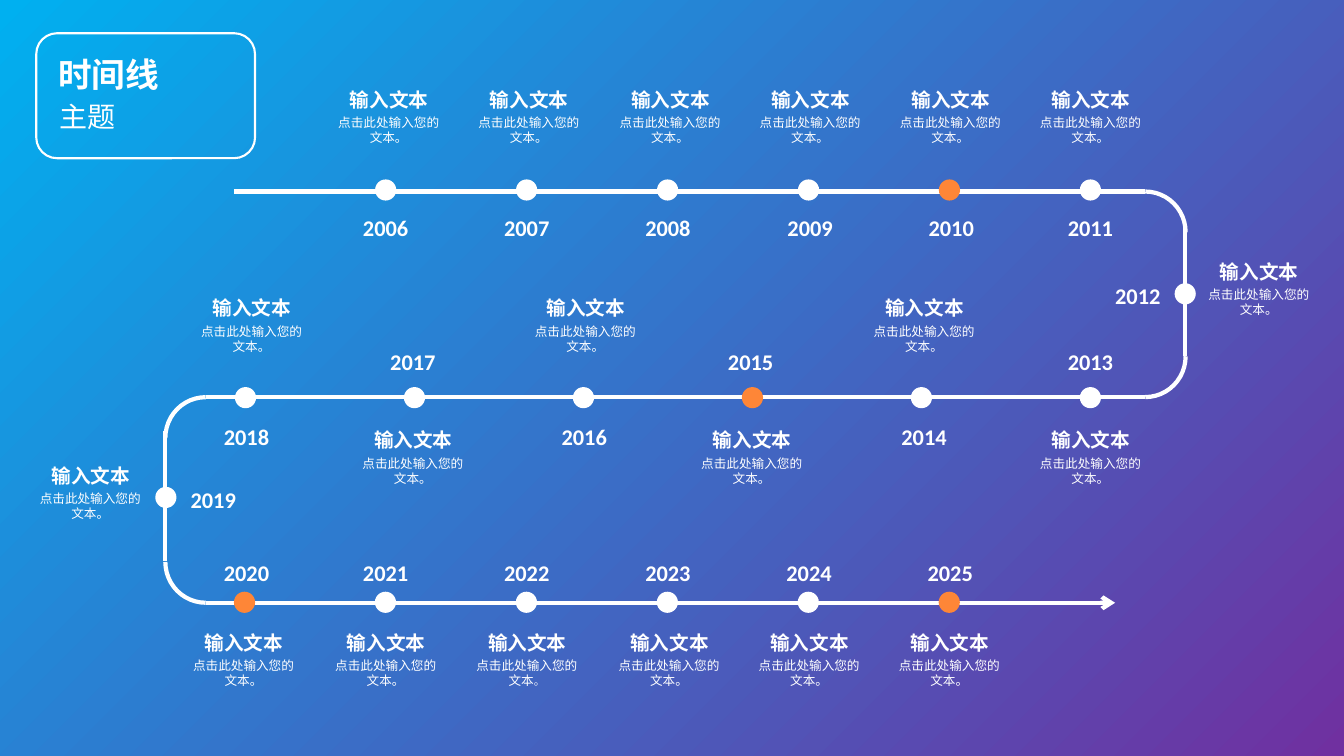
from lxml import etree
from pptx import Presentation
from pptx.dml.color import RGBColor
from pptx.enum.shapes import MSO_CONNECTOR, MSO_SHAPE
from pptx.enum.text import MSO_AUTO_SIZE, PP_ALIGN
from pptx.oxml.ns import qn
from pptx.util import Pt

STRAIGHT = MSO_CONNECTOR.STRAIGHT
DOT, ARC, FRAME = MSO_SHAPE.FLOWCHART_CONNECTOR, MSO_SHAPE.ARC, MSO_SHAPE.ROUNDED_RECTANGLE
CENTER, LEFT = PP_ALIGN.CENTER, PP_ALIGN.LEFT
FIT = MSO_AUTO_SIZE.SHAPE_TO_FIT_TEXT

COLORS = {"white": "FFFFFF", "accent": "FE8637", "sky": "00B0F0", "violet": "7030A0"}
HEAD_FONT, BODY_FONT = "Calibri", "Times New Roman"
TITLE, SUBTITLE = "时间线", "主题"
HEADING, BODY, STOP = "输入文本", "点击此处输入您的文本", "。"
MILESTONES = {2010, 2015, 2020, 2025}
SMALL_STOP_YEAR = 2022

ROWS = [
    {"first_dot": 372, "last_dot": 1071, "dot_top": 178,
     "years": [2006, 2007, 2008, 2009, 2010, 2011],
     "year_lefts": [346, 486, 626, 767, 907, 1045], "year_tops": [208],
     "caption_lefts": [322, 461, 601, 740, 879, 1018], "caption_tops": [82]},
    {"first_dot": 233, "last_dot": 1071, "dot_top": 384,
     "years": [2018, 2017, 2016, 2015, 2014, 2013],
     "year_lefts": [208, 373, 543, 708, 880, 1045], "year_tops": [415, 340],
     "caption_lefts": [186, 346, 517, 682, 853, 1018], "caption_tops": [289, 420]},
    {"first_dot": 232, "last_dot": 931, "dot_top": 587,
     "years": [2020, 2021, 2022, 2023, 2024, 2025],
     "year_lefts": [208, 346, 486, 626, 766, 906], "year_tops": [550],
     "caption_lefts": [178, 319, 459, 600, 739, 878], "caption_tops": [621]},
    {"first_dot": 1165, "last_dot": 1165, "dot_top": 281,
     "years": [2012], "year_lefts": [1092], "year_tops": [275],
     "caption_lefts": [1185], "caption_tops": [253]},
    {"first_dot": 154, "last_dot": 154, "dot_top": 483,
     "years": [2019], "year_lefts": [175], "year_tops": [477],
     "caption_lefts": [26], "caption_tops": [455]},
]
TRACKS = [(232, 190, 1136, 190), (1136, 394, 204, 394), (1088, 598, 204, 598)]
ARROW = (1082, 598, 1106, 598)
BENDS = [
    {"left": 1096, "top": 190, "side": 1175, "flip": {}},
    {"left": 164, "top": 394, "side": 164, "flip": {"flipH": "1"}},
]
ARC_W, ARC_H, BEND_H = 80, 81, 204
DOT_SIZE = 21

SCALE = 9144


def emu(*lengths):
    return [round(length * SCALE) for length in lengths]


def color(name):
    return RGBColor.from_string(COLORS[name])


prs = Presentation()
prs.slide_width, prs.slide_height = emu(1333, 750)
slide = prs.slides.add_slide(prs.slide_layouts[6])

backdrop = slide.background.fill
backdrop.gradient()
backdrop.gradient_angle = 315
for stop, name in zip(backdrop.gradient_stops, ("sky", "violet")):
    stop.color.rgb = color(name)


def add_track(ends, arrow=False):
    track = slide.shapes.add_connector(STRAIGHT, *emu(*ends))
    track.line.color.rgb = color("white")
    track.line.width = Pt(3)
    if arrow:
        etree.SubElement(track.line._get_or_add_ln(), qn("a:tailEnd"), type="arrow")
    etree.SubElement(track._element.spPr, qn("a:effectLst"))


def add_outline(kind, box, width):
    outline = slide.shapes.add_shape(kind, *emu(*box))
    outline.shadow.inherit = False
    outline.fill.background()
    outline.line.color.rgb = color("white")
    outline.line.width = Pt(width)
    return outline


def add_dot(left, top, fill):
    dot = slide.shapes.add_shape(DOT, *emu(left, top, DOT_SIZE, DOT_SIZE))
    dot.shadow.inherit = False
    dot.fill.solid()
    dot.fill.fore_color.rgb = color(fill)
    dot.line.fill.background()


def add_text(text, box, size, font=HEAD_FONT, bold=False, align=CENTER):
    frame = slide.shapes.add_textbox(*emu(*box)).text_frame
    frame.word_wrap = True
    frame.auto_size = FIT
    paragraph = frame.paragraphs[0]
    paragraph.alignment = align
    paragraph.add_run().text = text
    paragraph.font.name = font
    paragraph.font.size = Pt(size)
    paragraph.font.bold = bold
    paragraph.font.color.rgb = color("white")
    return paragraph


def add_caption(year, left, top):
    add_text(HEADING, (left, top, 128, 33), 14, bold=True)
    small = year == SMALL_STOP_YEAR
    body = add_text(BODY if small else BODY + STOP, (left, top + 27, 127, 40), 9, BODY_FONT)
    if small:
        full_stop = body.add_run()
        full_stop.text = STOP
        full_stop.font.size = Pt(8)


for ends in TRACKS:
    add_track(ends)
add_track(ARROW, arrow=True)

for bend in BENDS:
    top, side = bend["top"], bend["side"]
    lower_top = top + BEND_H - ARC_H
    for arc_top, flip in ((top, {}), (lower_top, {"flipV": "1"})):
        arc = add_outline(ARC, (bend["left"], arc_top, ARC_W, ARC_H), 3)
        for key, value in {**bend["flip"], **flip}.items():
            arc._element.spPr.xfrm.set(key, value)
    add_track((side, top + 163, side, top + 34))

for row in ROWS:
    years = row["years"]
    step = (row["last_dot"] - row["first_dot"]) / max(len(years) - 1, 1)
    year_tops, caption_tops = row["year_tops"], row["caption_tops"]
    for i, year in enumerate(years):
        fill = "accent" if year in MILESTONES else "white"
        add_dot(row["first_dot"] + i * step, row["dot_top"], fill)
        year_top = year_tops[i % len(year_tops)]
        add_text(str(year), (row["year_lefts"][i], year_top, 73, 37), 16, bold=True)
        add_caption(year, row["caption_lefts"][i], caption_tops[i % len(caption_tops)])

add_outline(FRAME, (36, 33, 217, 124), 1.5)
add_text(TITLE, (48, 49, 195, 50), 24, bold=True, align=LEFT)
add_text(SUBTITLE, (49, 94, 194, 43), 20, align=LEFT)

prs.save("out.pptx")
